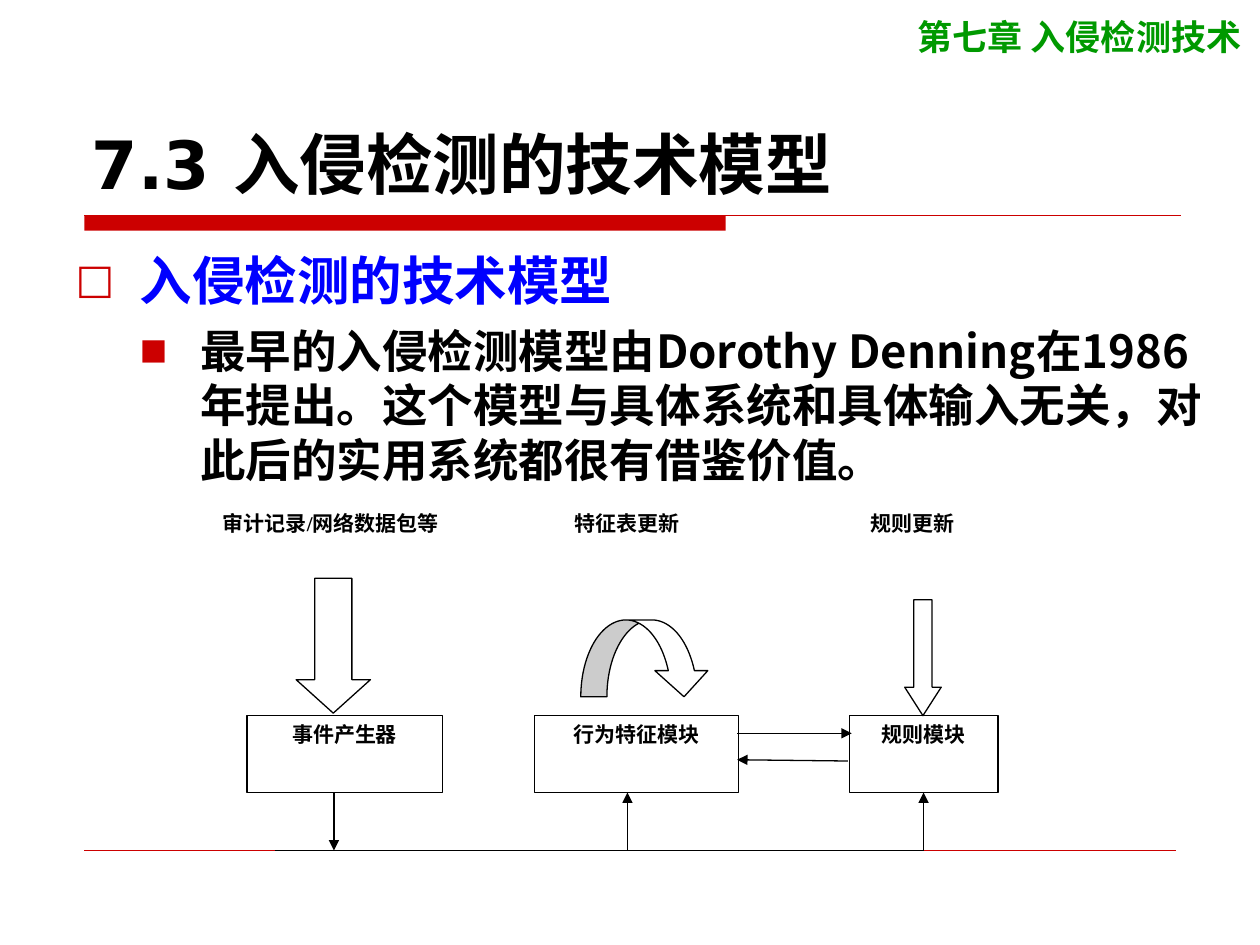
from lxml import etree
from pptx import Presentation, util as u
from pptx.dml.color import RGBColor
from pptx.enum import shapes as sh, text as tx
from pptx.oxml import ns

COLORS = {"red": "CC0000", "green": "009900", "blue": "0000FF",
          "black": "000000", "white": "FFFFFF"}
CJK, TITLE, SERIF = "Noto Sans CJK SC", "DejaVu Sans", "Times New Roman"
COLUMNS, ROWS = 100, 75


def color(name):
    return RGBColor.from_string(COLORS[name])


def add_xml(parent, tag, **attributes):
    return etree.SubElement(parent, ns.qn(tag), attributes)


def write(paragraph, words, size=12, font=SERIF, ink="black", align=None, before=0):
    paragraph.alignment = align
    paragraph.space_before = u.Pt(before)
    run = paragraph.add_run()
    run.text = words
    run.font.size, run.font.bold, run.font.name = u.Pt(size), True, font
    run.font.color.rgb = color(ink)
    add_xml(run.font._element, "a:ea", typeface=CJK)


class Sheet:
    """Current slide and its style; lengths are columns and rows of a 100 x 75 grid."""

    def __init__(self, deck):
        self.column = deck.slide_width / COLUMNS
        self.row = deck.slide_height / ROWS
        self.slide = deck.slides.add_slide(deck.slide_layouts[1])

    def cells(self, *lengths):
        return [round(n * (self.row if i % 2 else self.column))
                for i, n in enumerate(lengths)]

    def placeholder(self, index, area, anchor):
        holder = self.slide.placeholders[index]
        holder.left, holder.top, holder.width, holder.height = self.cells(*area)
        frame = holder.text_frame
        frame.auto_size = tx.MSO_AUTO_SIZE.NONE
        frame.vertical_anchor = anchor
        return frame

    def bullet(self, paragraph, mark, share, margin, indent):
        margin, indent = self.cells(margin)[0], self.cells(indent)[0]
        props = paragraph._p.get_or_add_pPr()
        props.set("marL", str(margin))
        props.set("indent", str(-indent))
        add_xml(add_xml(props, "a:buClr"), "a:srgbClr", val=COLORS["red"])
        add_xml(props, "a:buSzPct", val=str(share * 1000))
        add_xml(props, "a:buFont", typeface=TITLE)
        add_xml(props, "a:buChar", char=mark)

    def shape(self, kind, area, fill="white", line="black", adjust=()):
        shape = self.slide.shapes.add_shape(kind, *self.cells(*area))
        shape.shadow.inherit = False
        shape.fill.solid()
        shape.fill.fore_color.rgb = color(fill)
        if line:
            shape.line.color.rgb = color(line)
            shape.line.width = u.Pt(0.75)
        else:
            shape.line.fill.background()
        for i, value in enumerate(adjust):
            shape.adjustments[i] = value
        return shape

    def box(self, words, area, align, line="black"):
        box = self.shape(sh.MSO_SHAPE.RECTANGLE, area, line=line)
        box.text_frame.vertical_anchor = tx.MSO_ANCHOR.TOP
        box.text_frame.word_wrap = True
        write(box.text_frame.paragraphs[0], words, align=align)
        return box

    def header(self, words, area, **style):
        frame = self.slide.shapes.add_textbox(*self.cells(*area)).text_frame
        frame.word_wrap = True
        write(frame.paragraphs[0], words, **style)

    def line(self, start, end, ink="black", width=0.75, arrow=False):
        line = self.slide.shapes.add_connector(
            sh.MSO_CONNECTOR.STRAIGHT, *self.cells(*start, *end))
        line.line.color.rgb = color(ink)
        line.line.width = u.Pt(width)
        if arrow:
            add_xml(line.line._get_or_add_ln(), "a:tailEnd", type="triangle")
        add_xml(line._element.spPr, "a:effectLst")
        return line


def main():
    deck = Presentation()
    deck.slide_width, deck.slide_height = u.Inches(10), u.Inches(7.5)
    sheet = Sheet(deck)
    left, center = tx.PP_ALIGN.LEFT, tx.PP_ALIGN.CENTER

    # Header, title rule and footer rule
    sheet.shape(sh.MSO_SHAPE.RECTANGLE, (6.7, 17.1, 50.9, 1.2), "red", None)
    sheet.line((6.7, 17.1), (93.7, 17.1), "red")
    bus_row = 67.5
    sheet.line((6.7, bus_row), (93.3, bus_row), "red", 0.25)
    sheet.header("第七章 入侵检测技术", (35.4, 0.7, 64.1, 4.4), size=20, font=CJK,
                 ink="green", align=tx.PP_ALIGN.RIGHT)

    # Title and list
    title = sheet.placeholder(0, (6.3, 3.3, 87.5, 13.3), tx.MSO_ANCHOR.BOTTOM)
    write(title.paragraphs[0], "7.3 入侵检测的技术模型", 38, TITLE, align=left)
    body = sheet.placeholder(1, (5, 19.2, 91.7, 46.7), tx.MSO_ANCHOR.TOP)
    topic, detail = body.paragraphs[0], body.add_paragraph()
    detail.level = 1
    sheet.bullet(topic, "□", 78, 5.1, 5.1)
    write(topic, "入侵检测的技术模型", 30, CJK, "blue", left)
    sheet.bullet(detail, "■", 64, 9.9, 4.8)
    write(detail, "最早的入侵检测模型由Dorothy Denning在1986年提出。"
          "这个模型与具体系统和具体输入无关，对此后的实用系统都很有借鉴价值。",
          26, CJK, "black", left, 6.5)

    # Inputs and modules
    for words, x, width in (("审计记录/网络数据包等", 16.7, 23.5),
                            ("特征表更新", 44.6, 14.2), ("规则更新", 68.1, 10.3)):
        sheet.box(words, (x, 40, width, 4.6), left, line=None)
    box_top, box_height = 56.8, 6.1
    box_bottom = box_top + box_height
    events, behavior, rules = [
        sheet.box(words, (x, box_top, width, box_height), center)
        for words, x, width in (("事件产生器", 19.6, 15.5),
                                ("行为特征模块", 42.4, 16.2), ("规则模块", 67.4, 11.8))]

    # Block arrows into the modules
    sheet.shape(sh.MSO_SHAPE.DOWN_ARROW, (23.5, 45.9, 5.9, 10.7), adjust=(0.5, 0.45))
    sheet.shape(sh.MSO_SHAPE.DOWN_ARROW, (71.8, 47.6, 2.9, 9.2), adjust=(0.5, 0.78))
    sheet.shape(sh.MSO_SHAPE.CURVED_DOWN_ARROW, (46.1, 49.2, 10.3, 6.1),
                adjust=(0.34, 0.69, 0.34))

    # Shared line below the modules
    events_x, behavior_x, rules_x = 26.5, 49.8, 73.3
    sheet.line((21.8, bus_row), (rules_x, bus_row))
    sheet.line((events_x, box_bottom), (events_x, bus_row), arrow=True)
    sheet.line((behavior_x, bus_row), (behavior_x, box_bottom), arrow=True)
    to_rules = sheet.line((rules_x, bus_row), (rules_x, box_bottom), arrow=True)
    to_rules.end_connect(rules, 2)

    # Exchange between behavior and rules
    sheet.line((58.5, 58.2), (67.6, 58.2), arrow=True)
    sheet.line((67.3, 60.4), (58.5, 60.3), arrow=True)

    deck.save("out.pptx")


if __name__ == "__main__":
    main()
